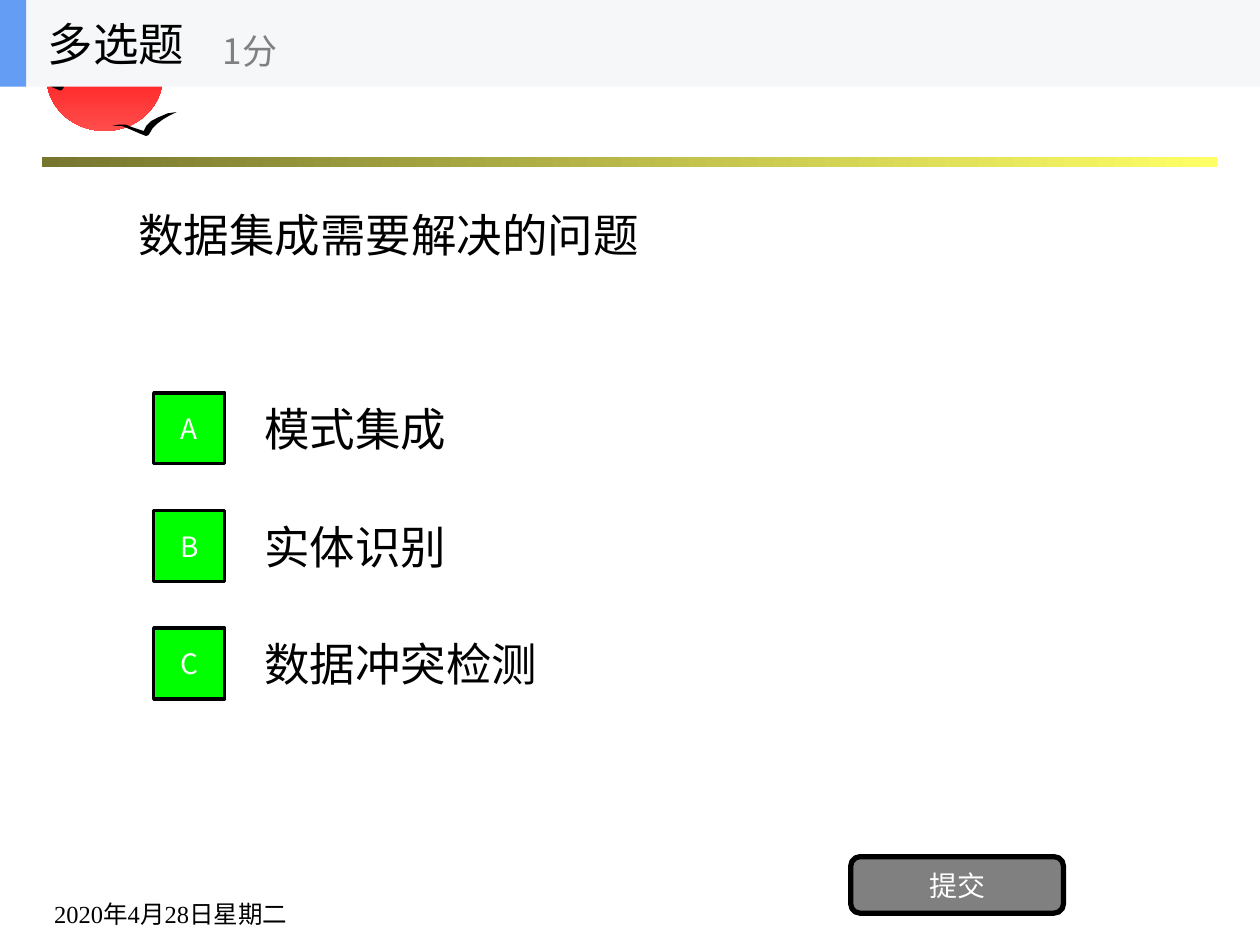
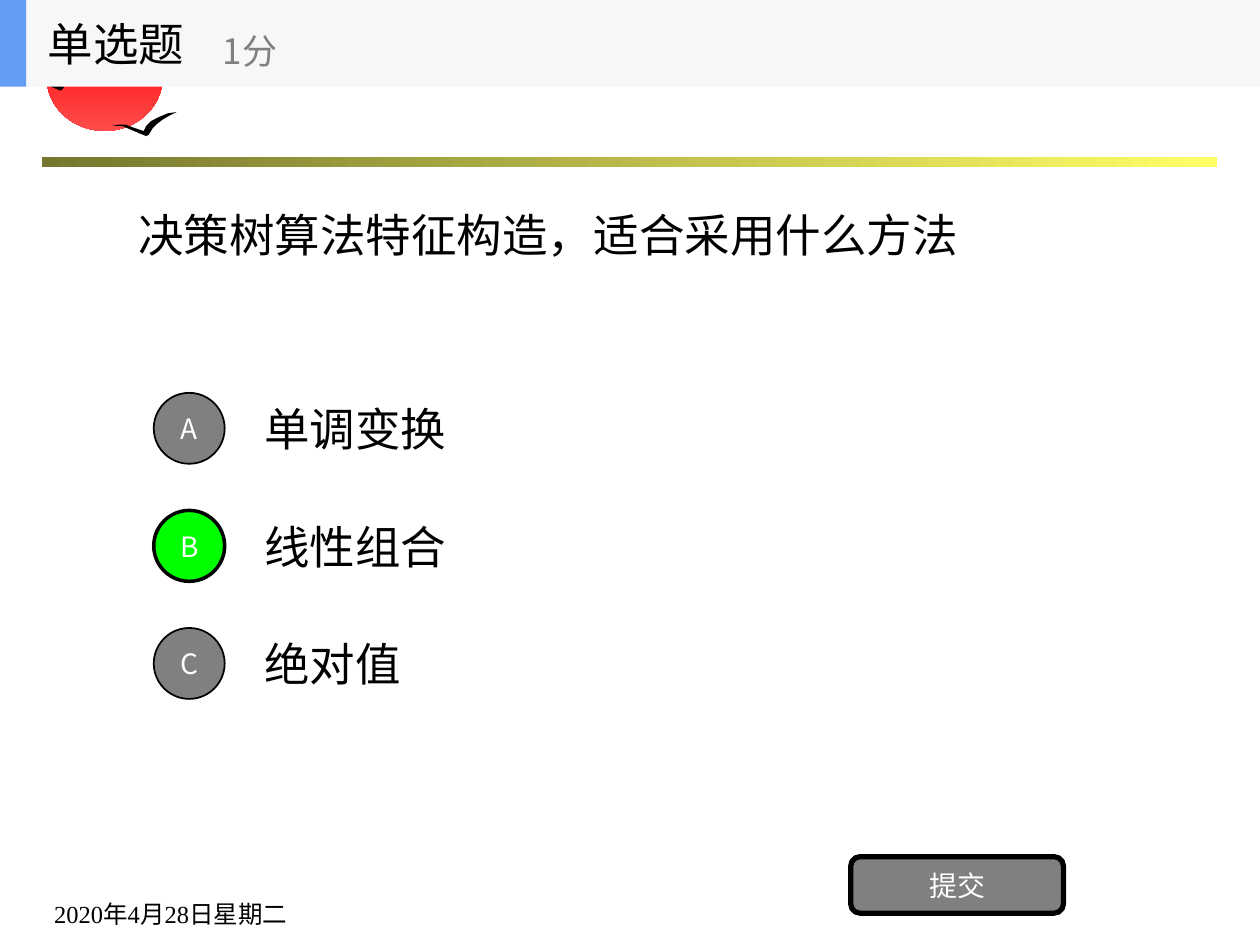
from lxml.etree import SubElement
from pptx import Presentation
from pptx.dml.color import RGBColor
from pptx.enum.shapes import MSO_SHAPE as Kind
from pptx.enum.text import MSO_ANCHOR as Anchor, MSO_AUTO_SIZE as Fit, PP_ALIGN as Align
from pptx.oxml.ns import qn
from pptx.util import Cm, Pt

HUES = {
    "black": "000000", "white": "FFFFFF", "grey": "808080", "green": "00FF00",
    "band": "F6F7F8", "blue": "639EF4", "olive": "76762F", "yellow": "FFFF66",
    "red": "FF0000", "coral": "FF4C4C",
}
SANS, SERIF = "Noto Sans CJK SC", "Times New Roman"
STEP = 2.37  # distance between answer rows, in cm

# Outline of a gull on a grid 51 wide and 19 high
GULL = [(0, 11), (5, 10), (11, 10), (16, 12), (22, 14), (25, 15), (27, 11),
        (31, 7), (37, 4), (44, 1), (51, 0), (45, 3), (40, 6), (36, 9),
        (32, 13), (29, 18), (27, 19), (22, 17), (15, 14), (8, 11)]

QUIZ = [
    ("多选题", "数据集成需要解决的问题", Kind.RECTANGLE,
     [("模式集成", True), ("实体识别", True), ("数据冲突检测", True)]),
    ("单选题", "决策树算法特征构造，适合采用什么方法", Kind.OVAL,
     [("单调变换", False), ("线性组合", True), ("绝对值", False)]),
]


def hue(name):
    return RGBColor.from_string(HUES[name])


def write(shape, text, size, color="black", face=SANS, align=Align.LEFT,
          anchor=Anchor.MIDDLE):
    frame = shape.text_frame
    frame.word_wrap = True
    frame.auto_size = Fit.NONE
    frame.vertical_anchor = anchor
    frame.text = text
    par = frame.paragraphs[0]
    par.alignment = align
    par.font.size = Pt(size)
    par.font.name = face
    par.font.color.rgb = hue(color)
    # East Asian face
    SubElement(par._p.pPr.find(qn("a:defRPr")), qn("a:ea"), typeface=SANS)


def label(slide, box, text, size, **style):
    write(slide.shapes.add_textbox(*map(Cm, box)), text, size, **style)


def block(slide, kind, box, fill, line=0):
    shape = slide.shapes.add_shape(kind, *map(Cm, box))
    paint(shape, fill)
    if line:
        shape.line.color.rgb = hue("black")
        shape.line.width = Pt(line)
    return shape


def paint(shape, fill):
    shape.shadow.inherit = False
    shape.line.fill.background()
    shape.fill.solid()
    shape.fill.fore_color.rgb = hue(fill)


def blend(shape, first, last, angle):
    shape.fill.gradient()
    shape.fill.gradient_angle = angle
    for stop, name, spot in zip(shape.fill.gradient_stops, (first, last), (0, 1)):
        stop.color.rgb = hue(name)
        stop.position = spot


def gull(slide, left, top, width):
    unit = width / 51
    spots = [(Cm(left + x * unit), Cm(top + y * unit)) for x, y in GULL]
    path = slide.shapes.build_freeform(*spots[0])
    path.add_line_segments(spots[1:], close=True)
    paint(path.convert_to_shape(), "black")


def scene(slide):
    """Sun, gulls, rule and header band."""
    rule = block(slide, Kind.RECTANGLE, (0.84, 3.17, 23.7, 0.2), "olive")
    blend(rule, "olive", "yellow", 0)
    sun = block(slide, Kind.OVAL, (0.94, 0.48, 2.34, 2.16), "red")
    blend(sun, "red", "coral", 270)
    gull(slide, 0.64, 1.42, 1.09)
    gull(slide, 2.26, 2.26, 1.3)
    block(slide, Kind.RECTANGLE, (0, 0, 25.4, 1.75), "band")
    block(slide, Kind.RECTANGLE, (0, 0, 0.53, 1.75), "blue")


def share(slide, layout):
    """Draw the scene once and hand it to the layout."""
    old = len(slide.shapes)
    scene(slide)
    for shape in list(slide.shapes)[old:]:
        layout.shapes.element.append(shape.element)


def head(slide, title, box):
    left, top, width, height = box
    name = slide.shapes.title
    name.left, name.top, name.width, name.height = map(
        Cm, (left, top, 5.28, height))
    write(name, title, 26)
    label(slide, (left + 3.53, top + 0.3, width - 3.53, height - 0.33),
          "1分", 20, color="grey")


def answer(slide, box, kind, mark, text, right, line):
    left, top, width, height = box
    label(slide, (left + 1.98, top, width - 1.98, height), text, 26)
    badge = block(slide, kind, (left, top + 0.17, 1.43, 1.43),
                  "green" if right else "grey", line)
    write(badge, mark, 16, color="white", align=Align.CENTER)


def foot(slide, box):
    left, top, width, height = box
    label(slide, (left, top + 0.31, 6.99, 1.27), "2020年4月28日星期二", 14,
          face=SERIF, anchor=Anchor.BOTTOM)
    send = block(slide, Kind.ROUNDED_RECTANGLE,
                 (left + width - 4.29, top, 4.29, 1.14), "grey", 3)
    write(send, "提交", 16, color="white", align=Align.CENTER)


def quiz(slide, title, ask, kind, rows):
    head(slide, title, (0.71, 0, 9.88, 1.75))
    label(slide, (2.54, 1.75, 20.32, 5.94), ask, 26)
    for i, (text, right) in enumerate(rows):
        answer(slide, (3.1, 7.75 + i * STEP, 19.76, 1.78), kind,
               "ABC"[i], text, right, 2 if right else 1)
    foot(slide, (0.84, 17.27, 20.6, 1.58))


def main():
    deck = Presentation()
    deck.slide_width, deck.slide_height = Cm(25.4), Cm(19.05)
    layout = deck.slide_layouts[5]
    for i, page in enumerate(QUIZ):
        slide = deck.slides.add_slide(layout)
        if i == 0:
            share(slide, layout)
        quiz(slide, *page)
    deck.save("out.pptx")


if __name__ == "__main__":
    main()
